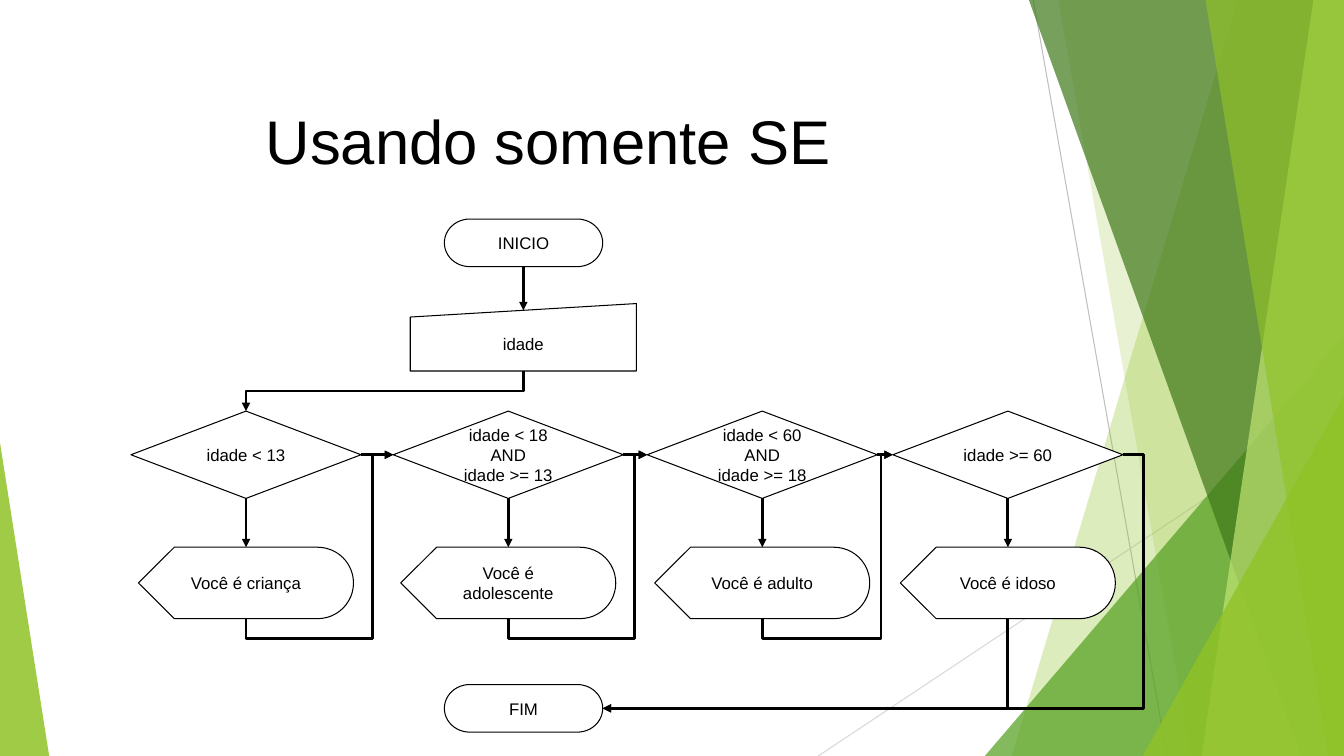
from lxml import etree
from pptx import Presentation
from pptx import util as u
from pptx.dml.color import RGBColor
from pptx.enum import shapes, text
from pptx.oxml.ns import qn

WIDTH, HEIGHT = 33.87, 19.05
TOP, LEFT, BOTTOM, RIGHT = range(4)
KIND = shapes.MSO_SHAPE


def color(value):
    return RGBColor.from_string(value)


class Flowchart:
    font, size, ink, paper = "Arial", 12, "000000", "FFFFFF"

    def __init__(self, slide):
        self.shapes = slide.shapes

    def label(self, frame, words, size):
        frame.text = words
        frame.word_wrap = True
        frame.vertical_anchor = text.MSO_ANCHOR.MIDDLE
        for paragraph in frame.paragraphs:
            paragraph.alignment = text.PP_ALIGN.CENTER
            paragraph.font.name = self.font
            paragraph.font.size = u.Pt(size)
            paragraph.font.color.rgb = color(self.ink)

    def title(self, words, left, top, width, height):
        title = self.shapes.title
        title.left, title.top = u.Cm(left), u.Cm(top)
        title.width, title.height = u.Cm(width), u.Cm(height)
        frame = title.text_frame
        frame.margin_left = frame.margin_right = 0
        frame.margin_top = frame.margin_bottom = 0
        self.label(frame, words, 44)

    def facet(self, points, fill, opacity):
        corners = [(u.Cm(x), u.Cm(y)) for x, y in points]
        builder = self.shapes.build_freeform(*corners[0])
        builder.add_line_segments(corners[1:], close=True)
        facet = builder.convert_to_shape()
        facet.shadow.inherit = False
        facet.fill.solid()
        facet.fill.fore_color.rgb = color(fill)
        facet.line.fill.background()
        tint = facet._element.spPr.find(qn("a:solidFill"))[0]
        etree.SubElement(tint, qn("a:alpha"), val=str(opacity * 1000))

    def step(self, kind, words, left, top, width, height):
        step = self.shapes.add_shape(kind, u.Cm(left), u.Cm(top), u.Cm(width), u.Cm(height))
        step.shadow.inherit = False
        step.fill.solid()
        step.fill.fore_color.rgb = color(self.paper)
        step.line.color.rgb = color(self.ink)
        step.line.width = u.Pt(0)
        self.label(step.text_frame, words, self.size)
        return step

    def line(self, start=(0, 0), end=(0, 0), ink=ink, width=0,
             kind=shapes.MSO_CONNECTOR.STRAIGHT):
        line = self.shapes.add_connector(kind, *(u.Cm(n) for n in (*start, *end)))
        line.line.color.rgb = color(ink)
        line.line.width = u.Pt(width)
        etree.SubElement(line._element.spPr, qn("a:effectLst"))
        return line

    def arrow(self, source, exit_side, target, entry_side, kind=shapes.MSO_CONNECTOR.STRAIGHT):
        arrow = self.line(kind=kind)
        arrow.begin_connect(source, exit_side)
        arrow.end_connect(target, entry_side)
        if target.auto_shape_type == KIND.FLOWCHART_MANUAL_INPUT:
            arrow.end_y = target.top + target.height // 10
        outline = arrow._element.spPr.find(qn("a:ln"))
        etree.SubElement(outline, qn("a:tailEnd"), type="triangle")
        return arrow

    def elbow(self, source, exit_side, target, entry_side, preset, adjust=(), turned=True, flips=()):
        elbow = self.arrow(source, exit_side, target, entry_side, shapes.MSO_CONNECTOR.ELBOW)
        center_x = (elbow.begin_x + elbow.end_x) // 2
        center_y = (elbow.begin_y + elbow.end_y) // 2
        width, height = elbow.width, elbow.height
        if turned:
            width, height = height, width
        elbow.left, elbow.top = center_x - width // 2, center_y - height // 2
        elbow.width, elbow.height = width, height
        frame = elbow._element.spPr.find(qn("a:xfrm"))
        frame.set("rot", "5400000" if turned else "0")
        for flip in ("flipH", "flipV"):
            frame.set(flip, "1" if flip in flips else "0")
        geometry = elbow._element.spPr.find(qn("a:prstGeom"))
        geometry.set("prst", preset)
        guides = geometry.find(qn("a:avLst"))
        for number, share in enumerate(adjust, 1):
            etree.SubElement(guides, qn("a:gd"), name=f"adj{number}",
                             fmla=f"val {round(share * 100000)}")


def band(top_x, bottom_x):
    return [(top_x, 0), (WIDTH, 0), (WIDTH, HEIGHT), (bottom_x, HEIGHT)]


def wedge(bottom_x, right_y):
    return [(bottom_x, HEIGHT), (WIDTH, right_y), (WIDTH, HEIGHT)]


FACETS = [
    (band(31.19, 25.5), "90C226", 30),
    (band(26.67, 30.02), "90C226", 20),
    (wedge(24.82, 8.46), "54A021", 72),
    (band(25.93, 32.79), "3F7819", 70),
    (band(33.1, 30.28), "C0E474", 70),
    (band(30.38, 33.48), "90C226", 65),
    (wedge(28.8, 9.98), "90C226", 80),
    ([(0, HEIGHT), (0, 11.15), (1.24, HEIGHT)], "90C226", 85),
]
AGES = [
    (3.3, "idade < 13", "Você é criança"),
    (9.91, "idade < 18 AND\nidade >= 13", "Você é adolescente"),
    (16.31, "idade < 60 AND\nidade >= 18", "Você é adulto"),
    (22.5, "idade >= 60", "Você é idoso"),
]
RETURN_LANES = [0.86, 0.91, 0.91]


def main():
    deck = Presentation()
    deck.slide_width, deck.slide_height = u.Cm(WIDTH), u.Cm(HEIGHT)
    chart = Flowchart(deck.slides.add_slide(deck.slide_layouts[5]))

    chart.line((26.04, 0), (29.41, HEIGHT), "BFBFBF", 0.75)
    chart.line((WIDTH, 10.24), (20.62, HEIGHT), "D9D9D9", 0.75)
    for points, fill, opacity in FACETS:
        chart.facet(points, fill, opacity)
    chart.title("Usando somente SE", 1.88, 1.7, 23.88, 3.66)

    begin = chart.step(KIND.FLOWCHART_TERMINATOR, "INICIO", 11.2, 5.52, 3.99, 1.2)
    finish = chart.step(KIND.FLOWCHART_TERMINATOR, "FIM", 11.2, 17.25, 3.99, 1.2)
    age = chart.step(KIND.FLOWCHART_MANUAL_INPUT, "idade", 10.34, 7.65, 5.7, 1.7)
    tests, messages = [], []
    for left, condition, message in AGES:
        tests.append(chart.step(KIND.FLOWCHART_DECISION, condition, left, 10.36, 5.8, 2.2))
        messages.append(chart.step(KIND.FLOWCHART_DISPLAY, message, left + 0.19, 13.79, 5.42, 1.8))

    chart.arrow(begin, BOTTOM, age, TOP)
    chart.elbow(age, BOTTOM, tests[0], TOP, "bentConnector3", [0.5])
    for test, message in zip(tests, messages):
        chart.arrow(test, BOTTOM, message, TOP)
    for test, message, following, lane in zip(tests, messages, tests[1:], RETURN_LANES):
        chart.arrow(test, RIGHT, following, LEFT)
        chart.elbow(message, BOTTOM, following, LEFT, "bentConnector4",
                    [-0.12, lane], flips=("flipH", "flipV"))
    chart.elbow(messages[-1], BOTTOM, finish, RIGHT, "bentConnector2")
    chart.elbow(tests[-1], RIGHT, finish, RIGHT, "bentConnector3",
                [-0.04], turned=False, flips=("flipH",))
    deck.save("out.pptx")


if __name__ == "__main__":
    main()
